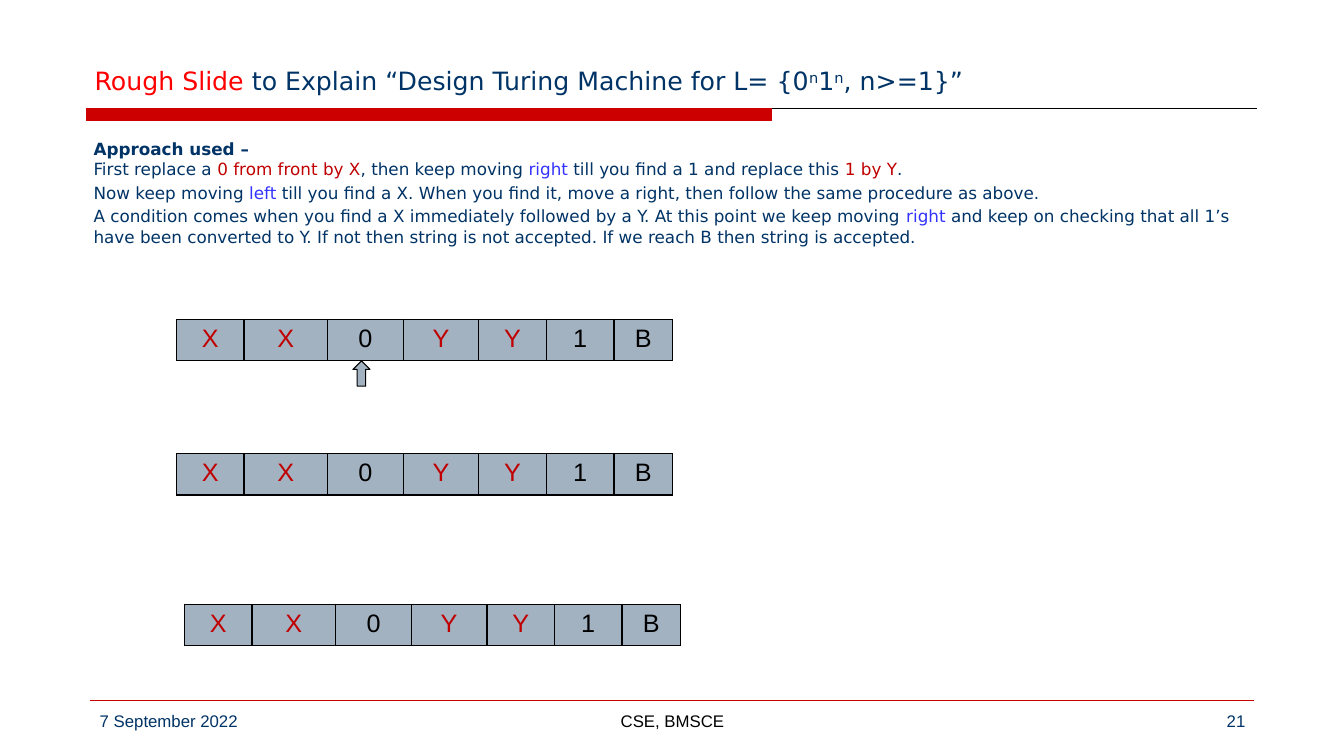
from lxml.etree import SubElement
from pptx import Presentation
from pptx.dml.color import RGBColor
from pptx.enum.shapes import MSO_CONNECTOR, MSO_SHAPE
from pptx.enum.text import MSO_ANCHOR, PP_ALIGN
from pptx.oxml import parse_xml
from pptx.oxml.ns import nsdecls, qn
from pptx.util import Inches, Pt

NAVY = RGBColor(0x00, 0x33, 0x66)
BLACK = RGBColor(0x00, 0x00, 0x00)
BAR_RED = RGBColor(0xCC, 0x00, 0x00)
TITLE_RED = RGBColor(0xFF, 0x00, 0x00)
DARK_RED = RGBColor(0xC0, 0x00, 0x00)
BLUE = RGBColor(0x33, 0x33, 0xFF)
CELL_GREY = RGBColor(0xA3, 0xB2, 0xC1)

deck = Presentation()
deck.slide_width, deck.slide_height = Inches(13.33), Inches(7.5)
page = deck.slides.add_slide(deck.slide_layouts[6])


def add_span(para, text, size, font, color, bold=False):
    span = para.add_run()
    span.text = text
    look = {"size": Pt(size), "name": font, "bold": bold}
    for key, value in look.items():
        setattr(span.font, key, value)
    span.font.color.rgb = color
    return span


def add_box(left, top, width, height, anchor=MSO_ANCHOR.TOP):
    box = page.shapes.add_textbox(Inches(left), Inches(top), Inches(width), Inches(height))
    box.text_frame.word_wrap = True
    box.text_frame.vertical_anchor = anchor
    return box.text_frame


# Title rule and footer rule
for left, right, y, color in [(0.86, 12.47, 1.08, BLACK), (0.89, 12.44, 6.95, BAR_RED)]:
    rule = page.shapes.add_connector(
        MSO_CONNECTOR.STRAIGHT, Inches(left), Inches(y), Inches(right), Inches(y))
    rule.line.color.rgb = color
    rule.line.width = Pt(0.75)
    SubElement(rule._element.spPr, qn("a:effectLst"))

# Red bar under the title and tape head arrow
for kind, left, top, width, height, fill, edge in [
    (MSO_SHAPE.RECTANGLE, 0.86, 1.08, 6.79, 0.12, BAR_RED, BAR_RED),
    (MSO_SHAPE.UP_ARROW, 3.5, 3.58, 0.17, 0.25, CELL_GREY, BLACK),
]:
    shape = page.shapes.add_shape(kind, Inches(left), Inches(top), Inches(width), Inches(height))
    shape.shadow.inherit = False
    shape.fill.solid()
    shape.fill.fore_color.rgb = fill
    shape.line.color.rgb = edge
    shape.line.width = Pt(0.75)

# Title with raised exponents
title = add_box(0.84, 0.17, 11.67, 0.83, MSO_ANCHOR.BOTTOM).paragraphs[0]
for text, color in [
    ("Rough Slide", TITLE_RED),
    (" to Explain “Design Turing Machine for L= {0", NAVY),
    ("n", NAVY), ("1", NAVY), ("n", NAVY), (", n>=1}”", NAVY),
]:
    span = add_span(title, text, 18, "DejaVu Sans", color)
    if text == "n":
        span.font._element.set("baseline", "30000")

# Approach text
approach = [
    [("First replace a ", NAVY), ("0 from front by X", DARK_RED),
     (", then keep moving ", NAVY), ("right", BLUE),
     (" till you find a 1 and replace this ", NAVY), ("1 by Y", DARK_RED), (".", NAVY)],
    [("Now keep moving ", NAVY), ("left", BLUE),
     (" till you find a X. When you find it, move a right, "
      "then follow the same procedure as above.", NAVY)],
    [("A condition comes when you find a X immediately followed by a Y. "
      "At this point we keep moving ", NAVY), ("right ", BLUE),
     ("and keep on checking that all 1’s have been converted to Y. If not then string "
      "is not accepted. If we reach B then string is accepted.", NAVY)],
]
body = add_box(0.83, 1.33, 11.67, 5.5)
for index, parts in enumerate(approach):
    if index == 0:
        para = body.paragraphs[0]
        add_span(para, "Approach used –", 12, "DejaVu Sans", NAVY, bold=True)
        para.add_line_break()
    else:
        para = body.add_paragraph()
        para.space_before = Pt(2.4)
    for text, color in parts:
        add_span(para, text, 12, "DejaVu Sans", color)

# Tapes
symbols = "XX0YY1B"
widths = [0.67, 0.83, 0.75, 0.75, 0.67, 0.67, 0.58]
for left, top, height in [(1.75, 3.17, 0.41), (1.75, 4.5, 0.41), (1.83, 6, 0.39)]:
    tape = page.shapes.add_table(
        1, len(symbols), Inches(left), Inches(top), Inches(sum(widths)), Inches(height)).table
    for column, (symbol, width) in enumerate(zip(symbols, widths)):
        tape.columns[column].width = Inches(width)
        cell = tape.cell(0, column)
        para = cell.text_frame.paragraphs[0]
        para.alignment = PP_ALIGN.CENTER
        add_span(para, symbol, 18, "Arial", DARK_RED if symbol in "XY" else BLACK)
        borders = cell._tc.get_or_add_tcPr()
        for side in ("lnL", "lnR", "lnT", "lnB"):
            borders.append(parse_xml(
                f'<a:{side} {nsdecls("a")} w="12700"><a:solidFill>'
                f'<a:srgbClr val="{BLACK}"/></a:solidFill></a:{side}>'))
        cell.fill.solid()
        cell.fill.fore_color.rgb = CELL_GREY

# Footer
for text, left, width, align, color in [
    ("7 September 2022", 0.89, 2.89, PP_ALIGN.LEFT, NAVY),
    ("CSE, BMSCE", 4.56, 4.22, PP_ALIGN.CENTER, BLACK),
    ("21", 9.56, 2.89, PP_ALIGN.RIGHT, NAVY),
]:
    para = add_box(left, 7, width, 0.35).paragraphs[0]
    para.alignment = align
    add_span(para, text, 12, "Arial", color)

deck.save("out.pptx")
